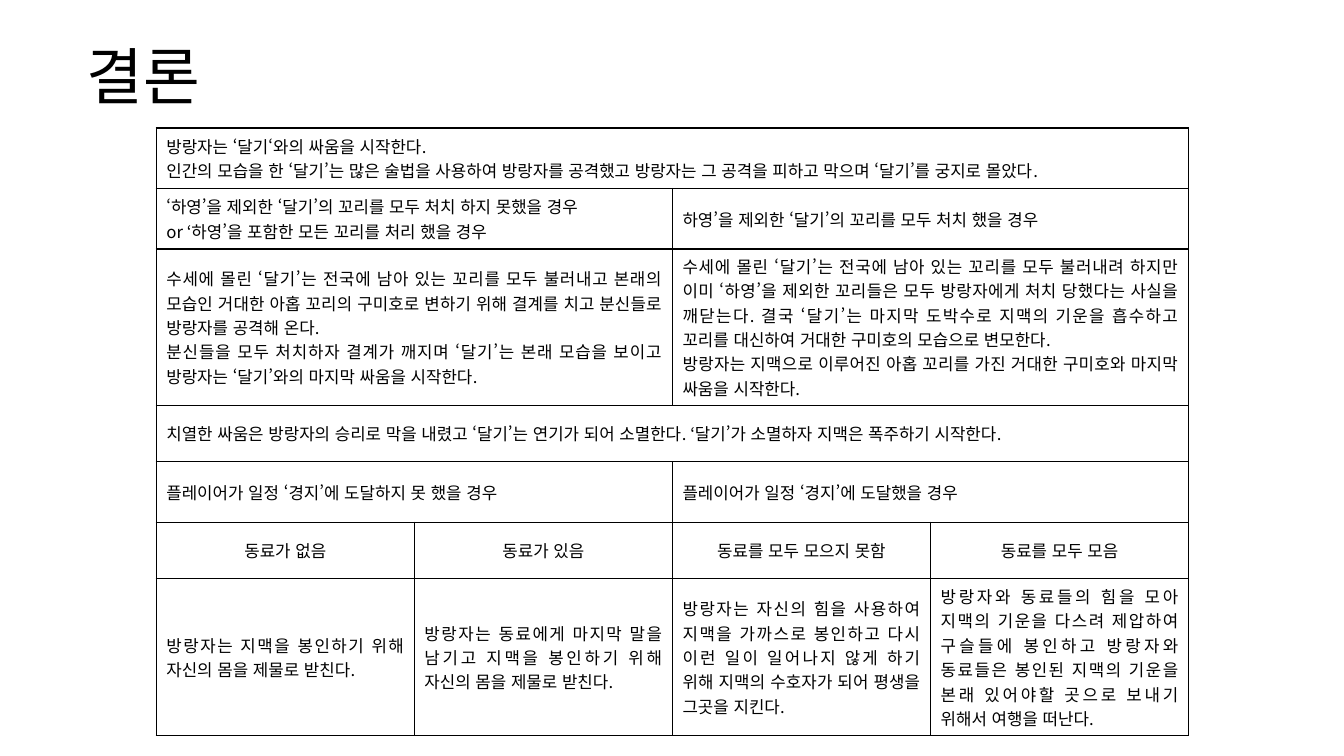
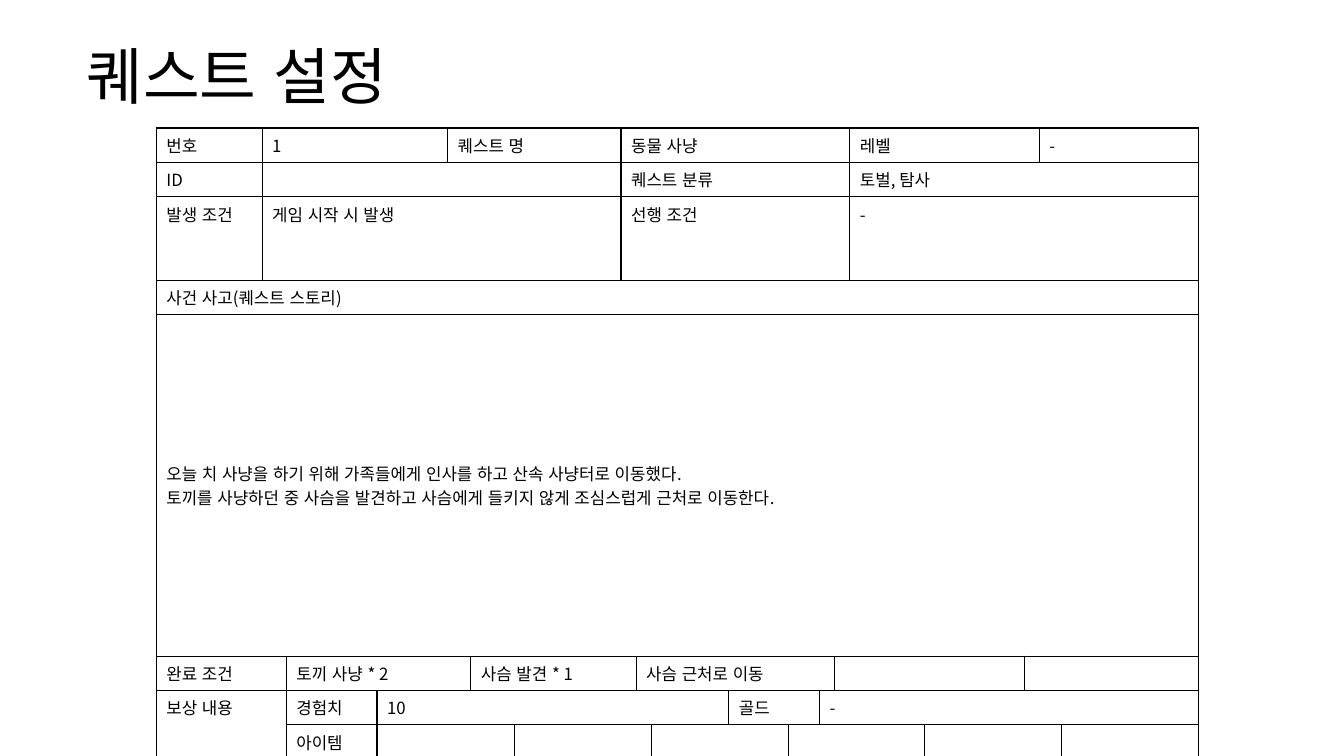
from lxml.etree import SubElement
from pptx import Presentation
from pptx.dml.color import RGBColor
from pptx.enum.lang import MSO_LANGUAGE_ID
from pptx.enum.text import MSO_ANCHOR, PP_ALIGN
from pptx.oxml import parse_xml
from pptx.oxml.ns import nsdecls, qn
from pptx.util import Pt

PX = 9144  # 100 px to the inch


class Theme:
    font = "Noto Sans CJK KR"
    ink = "000000"
    title = 44
    body = 12
    line = 1
    # paragraph alignment and cell anchor of each kind of row
    looks = {
        "full": (PP_ALIGN.JUSTIFY, MSO_ANCHOR.MIDDLE),
        "center": (PP_ALIGN.CENTER, MSO_ANCHOR.MIDDLE),
        "top": (PP_ALIGN.LEFT, MSO_ANCHOR.TOP),
        "left": (PP_ALIGN.LEFT, MSO_ANCHOR.MIDDLE),
    }


class Deck:
    def __init__(self, theme):
        self.theme = theme
        self.prs = Presentation()
        self.prs.slide_width = 1333 * PX
        self.prs.slide_height = 750 * PX

    def start(self, title):
        """Add a slide with its title."""
        self.slide = self.prs.slides.add_slide(self.prs.slide_layouts[6])
        box = self.slide.shapes.add_textbox(76 * PX, 32 * PX, 1181 * PX, 94 * PX)
        frame = box.text_frame
        frame.word_wrap = True
        frame.vertical_anchor = MSO_ANCHOR.MIDDLE
        frame.text = title
        frame.paragraphs[0].line_spacing = 0.9
        self.style(frame, self.theme.title)

    def style(self, frame, size):
        values = {
            "name": self.theme.font,
            "size": Pt(size),
            "language_id": MSO_LANGUAGE_ID.KOREAN,
        }
        for para in frame.paragraphs:
            for run in para.runs:
                for name, value in values.items():
                    setattr(run.font, name, value)
                run.font.color.rgb = RGBColor.from_string(self.theme.ink)
                props = run._r.get_or_add_rPr()
                SubElement(props, qn("a:ea"), typeface=self.theme.font)
            if not para.runs:
                SubElement(para._p, qn("a:endParaRPr"), sz=str(size * 100))

    def border(self, cell):
        cell.fill.background()
        props = cell._tc.get_or_add_tcPr()
        for index, side in enumerate("LRTB"):
            props.insert(index, parse_xml(
                f'<a:ln{side} {nsdecls("a")} w="{Pt(self.theme.line)}">'
                f'<a:solidFill><a:srgbClr val="{self.theme.ink}"/></a:solidFill>'
                f'</a:ln{side}>'))

    def table(self, widths, rows):
        """Rows hold (height, look, cells); cells hold (columns, text[, rows])."""
        high = sum(row[0] for row in rows)
        table = self.slide.shapes.add_table(
            len(rows), len(widths), 155 * PX, 127 * PX,
            sum(widths) * PX, high * PX).table
        table.first_row = table.horz_banding = False
        for col, width in zip(table.columns, widths):
            col.width = width * PX
        for r, (height, look, cells) in enumerate(rows):
            table.rows[r].height = height * PX
            align, anchor = self.theme.looks[look]
            c = 0
            for span, text, *deep in cells:
                cell = table.cell(r, c)
                c += span
                if text is None:  # covered from the row above
                    continue
                last = table.cell(r + (deep[0] if deep else 1) - 1, c - 1)
                if last is not cell and (span > 1 or deep):
                    cell.merge(last)
                cell.text = text
                cell.vertical_anchor = anchor
                for para in cell.text_frame.paragraphs:
                    para.alignment = align
        for cell in table.iter_cells():
            self.style(cell.text_frame, self.theme.body)
            self.border(cell)


def main():
    deck = Deck(Theme)

    # Ending branches
    deck.start("결론")
    deck.table([256] * 4, [
        (60, "full", [(4, "방랑자는 ‘달기‘와의 싸움을 시작한다.\n"
                          "인간의 모습을 한 ‘달기’는 많은 술법을 사용하여 방랑자를 공격했고 "
                          "방랑자는 그 공격을 피하고 막으며 ‘달기’를 궁지로 몰았다.")]),
        (60, "full", [
            (2, "‘하영’을 제외한 ‘달기’의 꼬리를 모두 처치 하지 못했을 경우\n"
                "or ‘하영’을 포함한 모든 꼬리를 처리 했을 경우"),
            (2, "하영’을 제외한 ‘달기’의 꼬리를 모두 처치 했을 경우")]),
        (155, "full", [
            (2, "수세에 몰린 ‘달기’는 전국에 남아 있는 꼬리를 모두 불러내고 본래의 "
                "모습인 거대한 아홉 꼬리의 구미호로 변하기 위해 결계를 치고 "
                "분신들로 방랑자를 공격해 온다.\n"
                "분신들을 모두 처치하자 결계가 깨지며 ‘달기’는 본래 모습을 보이고 "
                "방랑자는 ‘달기’와의 마지막 싸움을 시작한다."),
            (2, "수세에 몰린 ‘달기’는 전국에 남아 있는 꼬리를 모두 불러내려 하지만 "
                "이미 ‘하영’을 제외한 꼬리들은 모두 방랑자에게 처치 당했다는 사실을 "
                "깨닫는다. 결국 ‘달기’는 마지막 도박수로 지맥의 기운을 흡수하고 "
                "꼬리를 대신하여 거대한 구미호의 모습으로 변모한다.\n"
                "방랑자는 지맥으로 이루어진 아홉 꼬리를 가진 거대한 구미호와 마지막 "
                "싸움을 시작한다.")]),
        (56, "full", [(4, "치열한 싸움은 방랑자의 승리로 막을 내렸고 ‘달기’는 연기가 되어 "
                          "소멸한다. ‘달기’가 소멸하자 지맥은 폭주하기 시작한다.")]),
        (60, "full", [(2, "플레이어가 일정 ‘경지’에 도달하지 못 했을 경우"),
                      (2, "플레이어가 일정 ‘경지’에 도달했을 경우")]),
        (56, "center", [(1, "동료가 없음"), (1, "동료가 있음"),
                        (1, "동료를 모두 모으지 못함"), (1, "동료를 모두 모음")]),
        (156, "full", [
            (1, "방랑자는 지맥을 봉인하기 위해 자신의 몸을 제물로 받친다."),
            (1, "방랑자는 동료에게 마지막 말을 남기고 지맥을 봉인하기 위해 "
                "자신의 몸을 제물로 받친다."),
            (1, "방랑자는 자신의 힘을 사용하여 지맥을 가까스로 봉인하고 다시 "
                "이런 일이 일어나지 않게 하기 위해 지맥의 수호자가 되어 평생을 "
                "그곳을 지킨다."),
            (1, "방랑자와 동료들의 힘을 모아 지맥의 기운을 다스려 제압하여 "
                "구슬들에 봉인하고 방랑자와 동료들은 봉인된 지맥의 기운을 "
                "본래 있어야할 곳으로 보내기 위해서 여행을 떠난다.")]),
    ])

    # Quest sheet
    deck.start("퀘스트 설정")
    widths = [105, 23, 90, 70, 23, 43, 106, 15, 15, 77,
              59, 31, 15, 15, 74, 99, 15, 22, 136]
    deck.table(widths, [
        (34, "top", [(1, "번호"), (3, "1"), (3, "퀘스트 명"), (7, "동물 사냥"),
                     (3, "레벨"), (2, "-")]),
        (34, "top", [(1, "ID"), (6, ""), (7, "퀘스트 분류"), (5, "토벌, 탐사")]),
        (83, "top", [(1, "발생 조건"), (6, "게임 시작 시 발생"),
                     (7, "선행 조건"), (5, "-")]),
        (34, "top", [(19, "사건 사고(퀘스트 스토리)")]),
        (339, "left", [(19, "오늘 치 사냥을 하기 위해 가족들에게 인사를 하고 산속 사냥터로 "
                            "이동했다.\n"
                            "토끼를 사냥하던 중 사슴을 발견하고 사슴에게 들키지 않게 "
                            "조심스럽게 근처로 이동한다.")]),
        (34, "top", [(2, "완료 조건"), (3, "토끼 사냥 * 2"), (3, "사슴 발견 * 1"),
                     (5, "사슴 근처로 이동"), (3, ""), (3, "")]),
        (34, "top", [(2, "보상 내용", 2), (1, "경험치"), (7, "10"),
                     (2, "골드"), (7, "-")]),
        (34, "top", [(2, None), (1, "아이템")]
                    + [(span, "") for span in (3, 3, 2, 4, 3, 1)]),
    ])
    deck.prs.save("out.pptx")


if __name__ == "__main__":
    main()
